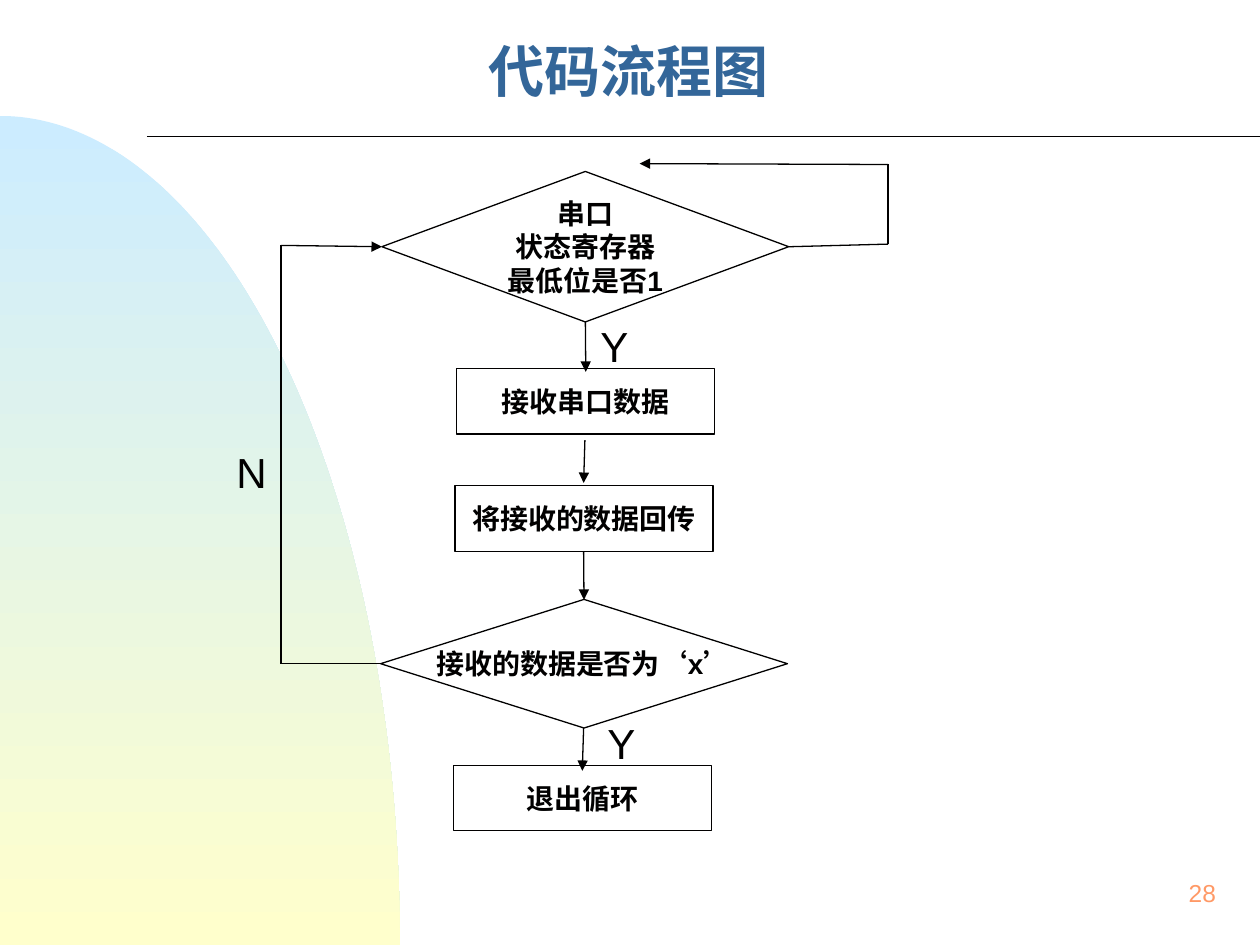
from math import cos, pi, sin

from lxml.etree import SubElement
from pptx import Presentation
from pptx.dml.color import RGBColor
from pptx.enum.shapes import MSO_CONNECTOR, MSO_SHAPE
from pptx.enum.text import MSO_ANCHOR, PP_ALIGN
from pptx.oxml.ns import qn
from pptx.util import Pt

THEME = {
    "ink": RGBColor.from_string("010000"),
    "title": RGBColor.from_string("336699"),
    "number": RGBColor.from_string("FF9966"),
    "sky": RGBColor.from_string("CCECFF"),
    "sand": RGBColor.from_string("FFFFCC"),
    "title_size": Pt(32),
    "letter_size": Pt(24),
    "step_size": Pt(16),
    "number_size": Pt(14),
    "line_width": Pt(0.75),
}


def write_text(shape, lines, size, color, bold=False, name="Arial",
               align=PP_ALIGN.CENTER, anchor=MSO_ANCHOR.MIDDLE, wrap=False):
    frame = shape.text_frame
    frame.text = "\n".join(lines)
    frame.word_wrap = wrap
    frame.vertical_anchor = anchor
    format_values = {"name": name, "size": size, "bold": bold}
    for paragraph in frame.paragraphs:
        paragraph.alignment = align
        for run in paragraph.runs:
            run.font.color.rgb = color
            for attribute, value in format_values.items():
                setattr(run.font, attribute, value)


def draw_line(start, end, arrow=False):
    connector = slide.shapes.add_connector(
        MSO_CONNECTOR.STRAIGHT, *(Pt(value) for value in (*start, *end)))
    connector.line.color.rgb = THEME["ink"]
    connector.line.width = THEME["line_width"]
    properties = connector._element.spPr
    if arrow:
        SubElement(properties.find(qn("a:ln")), qn("a:tailEnd"), type="triangle")
    SubElement(properties, qn("a:effectLst"))


presentation = Presentation()
presentation.slide_width, presentation.slide_height = Pt(720), Pt(540)
slide = presentation.slides.add_slide(presentation.slide_layouts[5])

# Background quarter ellipse, centred on the bottom left corner
radius_x, radius_y, arc_steps = 228.5, 473.75, 90
angles = [pi / 2 * step / arc_steps for step in range(arc_steps + 1)]
arc = [(Pt(radius_x * sin(angle)), Pt(540 - radius_y * cos(angle)))
       for angle in angles]
builder = slide.shapes.build_freeform(0, Pt(540))
builder.add_line_segments(arc, close=True)
hill = builder.convert_to_shape()
hill.shadow.inherit = False
hill.line.fill.background()
hill.fill.gradient()
hill.fill.gradient_angle = 270
for stop, color in zip(hill.fill.gradient_stops, ("sky", "sand")):
    stop.color.rgb = THEME[color]

# Title, rule and slide number
title = slide.shapes.title
title.left, title.top, title.width, title.height = Pt(166.5), Pt(9), Pt(385), Pt(72)
write_text(title, ["代码流程图"], THEME["title_size"], THEME["title"],
           bold=True, name="Arial Narrow", wrap=True)
title.text_frame.paragraphs[0].line_spacing = 0.7
draw_line((84, 78), (720, 78))
number = slide.shapes.add_textbox(Pt(552), Pt(492), Pt(150), Pt(36))
write_text(number, ["28"], THEME["number_size"], THEME["number"],
           align=PP_ALIGN.RIGHT)

# Flow steps: kind, left, top, height, lines
widths = {MSO_SHAPE.FLOWCHART_DECISION: 232.5, MSO_SHAPE.FLOWCHART_PROCESS: 147.5}
steps = [
    (MSO_SHAPE.FLOWCHART_DECISION, 218.25, 98, 86,
     ["串口", "状态寄存器", "最低位是否1"]),
    (MSO_SHAPE.FLOWCHART_PROCESS, 260.75, 210.5, 37.5, ["接收串口数据"]),
    (MSO_SHAPE.FLOWCHART_PROCESS, 260, 277.5, 37.5, ["将接收的数据回传"]),
    (MSO_SHAPE.FLOWCHART_DECISION, 217.5, 342.5, 73.5, ["接收的数据是否为‘x’"]),
    (MSO_SHAPE.FLOWCHART_PROCESS, 259, 437.25, 37.5, ["退出循环"]),
]
for kind, left, top, height, lines in steps:
    shape = slide.shapes.add_shape(kind, Pt(left), Pt(top), Pt(widths[kind]), Pt(height))
    shape.shadow.inherit = False
    shape.fill.background()
    shape.line.color.rgb = THEME["ink"]
    shape.line.width = THEME["line_width"]
    write_text(shape, lines, THEME["step_size"], THEME["ink"], bold=True)

# Arrows between the steps
for start, end in [
    ((334.5, 184), (334.75, 212.5)),
    ((334.25, 251.5), (333.5, 276)),
    ((333.5, 315), (333.75, 342.75)),
    ((333.5, 416), (332.75, 440.5)),
]:
    draw_line(start, end, arrow=True)

# Loops back to the first decision, each ending in an arrow
loops = [
    [(450.75, 141), (507.5, 139.5), (507.5, 94), (365.5, 93.5)],
    [(217.5, 379.25), (160.5, 379.25), (160.5, 140.25), (218.25, 141)],
]
for points in loops:
    for index, (start, end) in enumerate(zip(points, points[1:]), 2):
        draw_line(start, end, arrow=index == len(points))

# Branch letters
for letter, left, top in [("N", 128, 251.5), ("Y", 340, 406.5), ("Y", 336, 179.5)]:
    label = slide.shapes.add_textbox(Pt(left), Pt(top), Pt(45), Pt(36))
    write_text(label, [letter], THEME["letter_size"], THEME["ink"],
               align=PP_ALIGN.LEFT, anchor=MSO_ANCHOR.TOP, wrap=True)

presentation.save("out.pptx")
